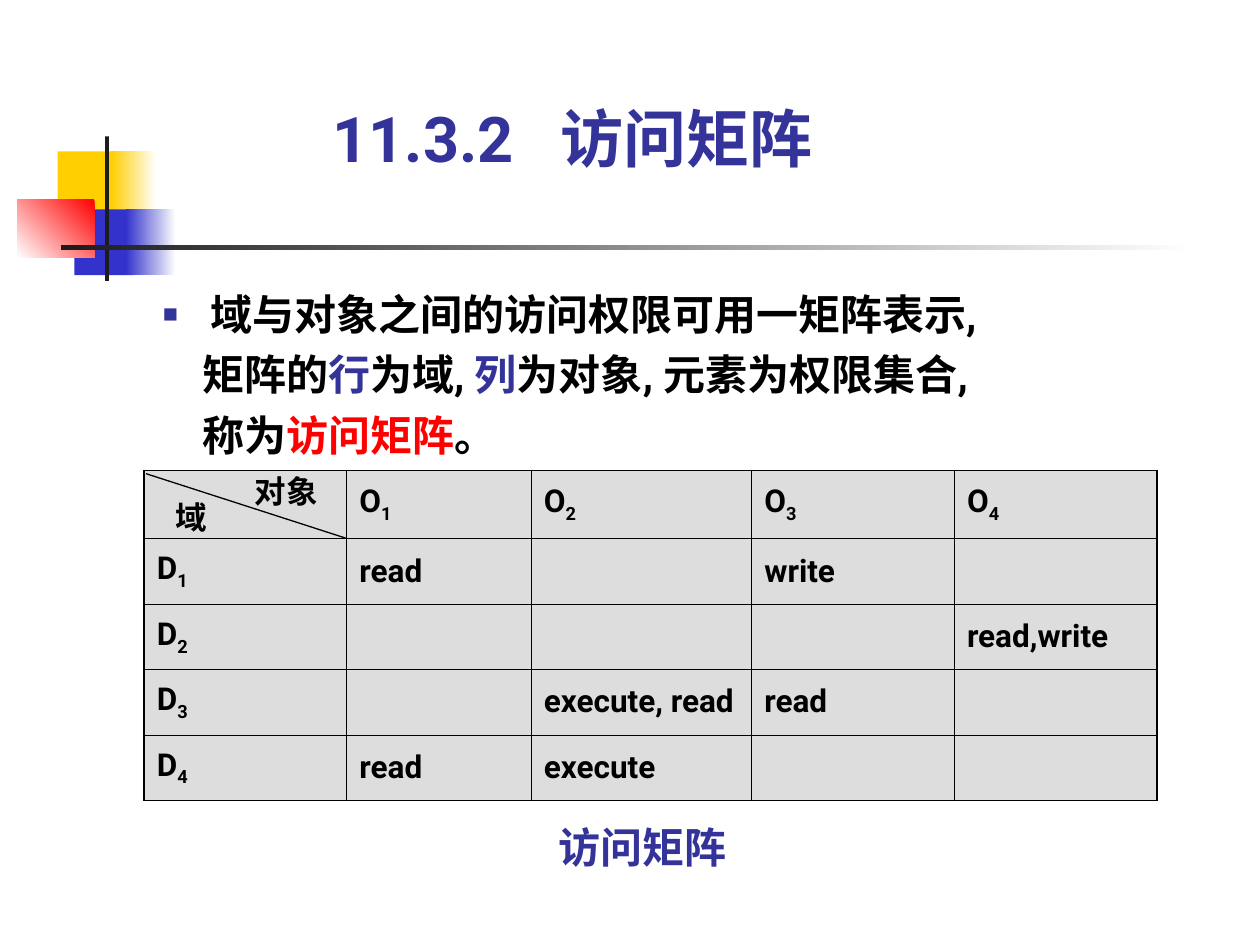
from lxml import etree
from pptx import Presentation
from pptx.dml.color import RGBColor
from pptx.enum import shapes, text
from pptx.oxml import ns
from pptx.util import Pt

LATIN, CJK = "Roboto", "Noto Sans CJK SC"
BLACK, NAVY, RED, WHITE = "000000", "333399", "FF0000", "FFFFFF"
YELLOW, BLUE, DARK, GREY = "FFCF01", "3333CC", "1C1C1C", "DDDDDD"

# left, top, width, height, colours (two make a gradient), gradient angle
ORNAMENTS = [
    (33, 86.5, 34.5, 37.5, [YELLOW], None),
    (63.5, 86.5, 26, 37.5, [WHITE, YELLOW], 180),
    (42.5, 119.7, 33.5, 37.5, [BLUE], None),
    (72, 119.7, 28.5, 37.5, [WHITE, BLUE], 180),
    (10, 113.8, 44, 33.5, [RED, WHITE], 225),
    (60, 78, 2.3, 82.5, [DARK], None),
    (34.8, 140.2, 648, 2.5, [WHITE, DARK], 180),
]
TITLE = "11.3.2\t访问矩阵"
BODY = [
    [("域与对象之间的访问权限可用一矩阵表示,", BLACK)],
    [("矩阵的", BLACK), ("行", NAVY), ("为域, ", BLACK), ("列", NAVY),
     ("为对象, 元素为权限集合,", BLACK)],
    [("称为", BLACK), ("访问矩阵", RED), ("。", BLACK)],
]
CAPTION = "访问矩阵"
OBJECTS, DOMAINS = ["O1", "O2", "O3", "O4"], ["D1", "D2", "D3", "D4"]
RIGHTS = {
    ("D1", "O1"): "read", ("D1", "O3"): "write",
    ("D2", "O4"): "read,write",
    ("D3", "O2"): "execute, read", ("D3", "O3"): "read",
    ("D4", "O1"): "read", ("D4", "O2"): "execute",
}
TABLE_LEFT, TABLE_TOP = 82.4, 268.8
COLUMN_WIDTHS = [115.8, 105.4, 126, 115.8, 115.6]
ROW_HEIGHTS = [39] + [37.4] * 4
OUTER, INNER = 1.08, 0.45


def rgb(value):
    return RGBColor.from_string(value)


def add_xml(parent, tag, **attributes):
    return etree.SubElement(parent, ns.qn(tag), attributes)


def set_font(paragraph, size, color, latin=LATIN):
    font = paragraph.font
    font.name, font.size, font.bold = latin, Pt(size), True
    font.color.rgb = rgb(color)
    latin_element = font._element.find(ns.qn("a:latin"))
    east_asian = etree.Element(ns.qn("a:ea"), typeface=CJK)
    latin_element.addnext(east_asian)


def prepare_frame(shape, anchor=text.MSO_ANCHOR.TOP):
    """Remove insets and autofit, and return the text frame."""
    frame = shape.text_frame
    frame.margin_left = frame.margin_top = 0
    frame.margin_right = frame.margin_bottom = 0
    frame.word_wrap = True
    frame.auto_size = text.MSO_AUTO_SIZE.NONE
    frame.vertical_anchor = anchor
    return frame


def place(shape, left, top, width, height):
    shape.left, shape.top = Pt(left), Pt(top)
    shape.width, shape.height = Pt(width), Pt(height)


def add_label(collection, words, box, size, color=BLACK, latin=LATIN,
              align=text.PP_ALIGN.LEFT, anchor=text.MSO_ANCHOR.TOP):
    label = collection.add_textbox(*map(Pt, box))
    paragraph = prepare_frame(label, anchor).paragraphs[0]
    paragraph.text, paragraph.alignment = words, align
    set_font(paragraph, size, color, latin)


def add_ornament(slide, left, top, width, height, colors, angle):
    shape = slide.shapes.add_shape(
        shapes.MSO_SHAPE.RECTANGLE, Pt(left), Pt(top), Pt(width), Pt(height))
    shape.shadow.inherit = False
    shape.line.fill.background()
    if angle is None:
        shape.fill.solid()
        shape.fill.fore_color.rgb = rgb(colors[0])
    else:
        shape.fill.gradient()
        shape.fill.gradient_angle = angle
        for stop, color in zip(shape.fill.gradient_stops, colors):
            stop.color.rgb = rgb(color)


def fill_title(title):
    place(title, 190, 57, 287.5, 43)
    paragraph = prepare_frame(title, text.MSO_ANCHOR.BOTTOM).paragraphs[0]
    paragraph.text, paragraph.alignment = TITLE, text.PP_ALIGN.LEFT
    tabs = add_xml(paragraph._p.get_or_add_pPr(), "a:tabLst")
    add_xml(tabs, "a:tab", pos=str(Pt(130)), algn="l")
    set_font(paragraph, 36, NAVY)


def fill_body(body):
    place(body, 93, 159, 496, 138)
    frame = prepare_frame(body)
    for index, runs in enumerate(BODY):
        paragraph = frame.add_paragraph() if index else frame.paragraphs[0]
        properties = paragraph._p.get_or_add_pPr()
        if index:
            properties.set("marL", str(Pt(22.5)))
            properties.set("indent", "0")
            add_xml(properties, "a:buNone")
        else:
            properties.set("marL", str(Pt(27)))
            properties.set("indent", str(-Pt(27)))
            add_xml(add_xml(properties, "a:buClr"), "a:srgbClr", val=NAVY)
            add_xml(properties, "a:buSzPct", val="60000")
            add_xml(properties, "a:buChar", char="■")
        paragraph.line_spacing = 1.2
        paragraph.space_before = Pt(0)
        set_font(paragraph, 24, BLACK)
        for words, color in runs:
            run = paragraph.add_run()
            run.text = words
            if color != BLACK:
                run.font.color.rgb = rgb(color)


def style_cell(cell, widths):
    """Set the fill and the left, right, top and bottom borders."""
    properties = cell._tc.get_or_add_tcPr()
    for side, width in zip("LRTB", widths):
        line = add_xml(properties, f"a:ln{side}", w=str(Pt(width)))
        add_xml(add_xml(line, "a:solidFill"), "a:srgbClr", val=BLACK)
    cell.fill.solid()
    cell.fill.fore_color.rgb = rgb(GREY)
    cell.vertical_anchor = text.MSO_ANCHOR.MIDDLE


def write_cell(cell, words, subscript=""):
    paragraph = cell.text_frame.paragraphs[0]
    set_font(paragraph, 18, BLACK)
    if words:
        paragraph.add_run().text = words
    if subscript:
        run = paragraph.add_run()
        run.text = subscript
        run._r.get_or_add_rPr().set("baseline", "-25000")


def add_matrix(slide):
    rows, columns = len(ROW_HEIGHTS), len(COLUMN_WIDTHS)
    table = slide.shapes.add_table(
        rows, columns, Pt(TABLE_LEFT), Pt(TABLE_TOP),
        Pt(sum(COLUMN_WIDTHS)), Pt(sum(ROW_HEIGHTS))).table
    table.first_row = table.horz_banding = False
    for column, width in zip(table.columns, COLUMN_WIDTHS):
        column.width = Pt(width)
    for row, height in zip(table.rows, ROW_HEIGHTS):
        row.height = Pt(height)
    for r, domain in enumerate([""] + DOMAINS):
        for c, target in enumerate([""] + OBJECTS):
            cell = table.cell(r, c)
            edges = (c == 0, c == columns - 1, r == 0, r == rows - 1)
            style_cell(cell, [OUTER if edge else INNER for edge in edges])
            if r and c:
                write_cell(cell, RIGHTS.get((domain, target), ""))
            else:
                header = domain or target
                write_cell(cell, header[:1], header[1:])


def add_corner(slide):
    group = slide.shapes.add_group_shape()
    add_label(group.shapes, "对象", (145.5, 270, 38, 21.5), 18)
    diagonal = group.shapes.add_connector(
        shapes.MSO_CONNECTOR.STRAIGHT, Pt(83.5), Pt(270.7), Pt(197.5), Pt(307.5))
    diagonal.line.color.rgb = rgb(BLACK)
    diagonal.line.width = Pt(0.75)
    add_xml(diagonal._element.spPr, "a:effectLst")
    add_label(group.shapes, "域", (100, 284.4, 38, 21.5), 18)


def main():
    presentation = Presentation()
    presentation.slide_width, presentation.slide_height = Pt(720), Pt(540)
    slide = presentation.slides.add_slide(presentation.slide_layouts[1])
    for ornament in ORNAMENTS:
        add_ornament(slide, *ornament)
    fill_title(slide.shapes.title)
    fill_body(slide.placeholders[1])
    add_label(slide.shapes, CAPTION, (306, 469.5, 122, 29), 24, NAVY, CJK,
              text.PP_ALIGN.CENTER, text.MSO_ANCHOR.MIDDLE)
    add_matrix(slide)
    add_corner(slide)
    presentation.save("out.pptx")


if __name__ == "__main__":
    main()
